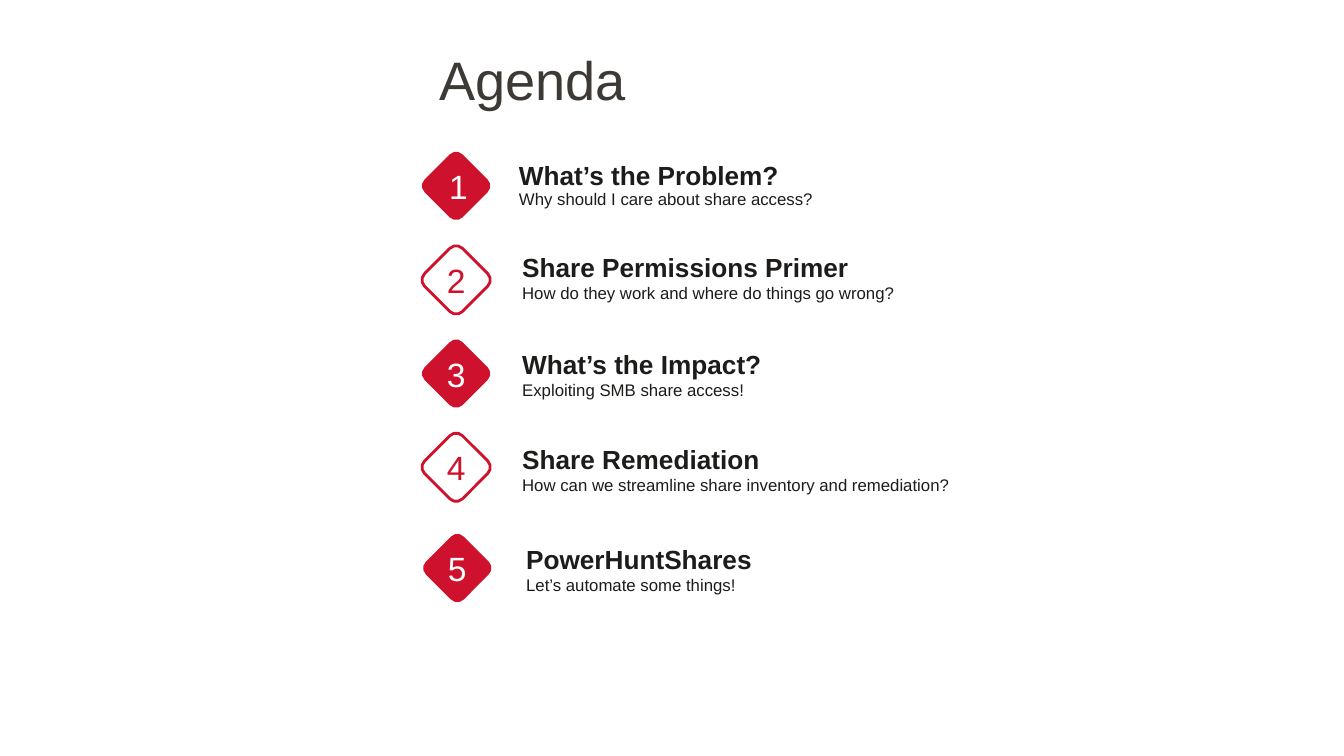
from pptx import Presentation
from pptx.dml.color import RGBColor
from pptx.enum.shapes import MSO_SHAPE
from pptx.enum.text import MSO_ANCHOR, MSO_AUTO_SIZE, PP_ALIGN
from pptx.util import Cm, Pt

ROUNDED = MSO_SHAPE.ROUNDED_RECTANGLE
TOP, MIDDLE = MSO_ANCHOR.TOP, MSO_ANCHOR.MIDDLE
LEFT, CENTER = PP_ALIGN.LEFT, PP_ALIGN.CENTER
NO_FIT = MSO_AUTO_SIZE.NONE
FONT = "Arial"
TITLE_ONLY = 5
COLORS = {"red": "CE112C", "white": "FFFFFF", "title": "3D3935", "text": "1E1C1A"}

# Marker left and top, label left and top (cm), line spacing, heading, detail
TOPICS = [
    (10.82, 4.01, 12.75, 3.86, 0.9, "What’s the Problem?",
     "Why should I care about share access?"),
    (10.82, 6.38, 12.83, 6.17, 1.0, "Share Permissions Primer",
     "How do they work and where do things go wrong?"),
    (10.82, 8.74, 12.83, 8.61, 1.0, "What’s the Impact?",
     "Exploiting SMB share access!"),
    (10.82, 11.1, 12.83, 11.0, 1.0, "Share Remediation",
     "How can we streamline share inventory and remediation?"),
    (10.85, 13.64, 12.93, 13.51, 1.0, "PowerHuntShares",
     "Let’s automate some things!"),
]
MARKER_SIZE = Cm(1.35)
LABEL_WIDTH, LABEL_HEIGHT = Cm(13.49), Cm(1.65)


def color(name):
    return RGBColor.from_string(COLORS[name])


def set_font(para, size, color_name, bold=False):
    para.font.name = FONT
    para.font.size = Pt(size)
    para.font.bold = bold
    para.font.color.rgb = color(color_name)


def set_insets(frame, inset):
    frame.margin_left = frame.margin_right = inset
    frame.margin_top = frame.margin_bottom = inset


def add_title(page, left, top, width, height):
    title = page.shapes.title
    title.left, title.top, title.width, title.height = left, top, width, height
    frame = title.text_frame
    frame.text = "Agenda"
    frame.auto_size = NO_FIT
    frame.vertical_anchor = TOP
    set_insets(frame, Cm(0.25))
    frame.margin_top = Cm(0.43)
    para = frame.paragraphs[0]
    para.alignment = LEFT
    set_font(para, 38.7, "title")


def add_marker(page, left, top, size, number):
    # Odd topics are solid, even ones outlined
    solid = number % 2 == 1
    diamond = page.shapes.add_shape(ROUNDED, left, top, size, size)
    diamond.rotation = 45
    diamond.shadow.inherit = False
    if solid:
        diamond.fill.solid()
        diamond.fill.fore_color.rgb = color("red")
        diamond.line.fill.background()
    else:
        diamond.fill.background()
        diamond.line.color.rgb = color("red")
        diamond.line.width = Pt(2)

    # The number stays upright in its own box
    nudge = Cm(0.06) if number == 1 else 0
    box = page.shapes.add_textbox(left + nudge, top, size, size)
    frame = box.text_frame
    frame.word_wrap = False
    frame.vertical_anchor = MIDDLE
    para = frame.paragraphs[0]
    para.text = str(number)
    para.alignment = CENTER
    set_font(para, 24, "white" if solid else "red")


def add_label(page, left, top, width, height, spacing, heading, detail):
    frame = page.shapes.add_textbox(left, top, width, height).text_frame
    frame.word_wrap = True
    frame.vertical_anchor = MIDDLE
    set_insets(frame, Cm(0.33))
    frame.text = f"{heading}\n{detail}"
    for para, size, bold in zip(frame.paragraphs, (18.7, 12), (True, False)):
        para.line_spacing = spacing
        set_font(para, size, "text", bold)


def main():
    deck = Presentation()
    deck.slide_width, deck.slide_height = Cm(33.87), Cm(19.05)
    page = deck.slides.add_slide(deck.slide_layouts[TITLE_ONLY])
    add_title(page, Cm(10.82), Cm(0.74), Cm(8.15), Cm(3.12))
    for number, topic in enumerate(TOPICS, 1):
        marker_left, marker_top, label_left, label_top, *wording = topic
        add_marker(page, Cm(marker_left), Cm(marker_top), MARKER_SIZE, number)
        add_label(page, Cm(label_left), Cm(label_top),
                  LABEL_WIDTH, LABEL_HEIGHT, *wording)
    deck.save("out.pptx")


if __name__ == "__main__":
    main()
